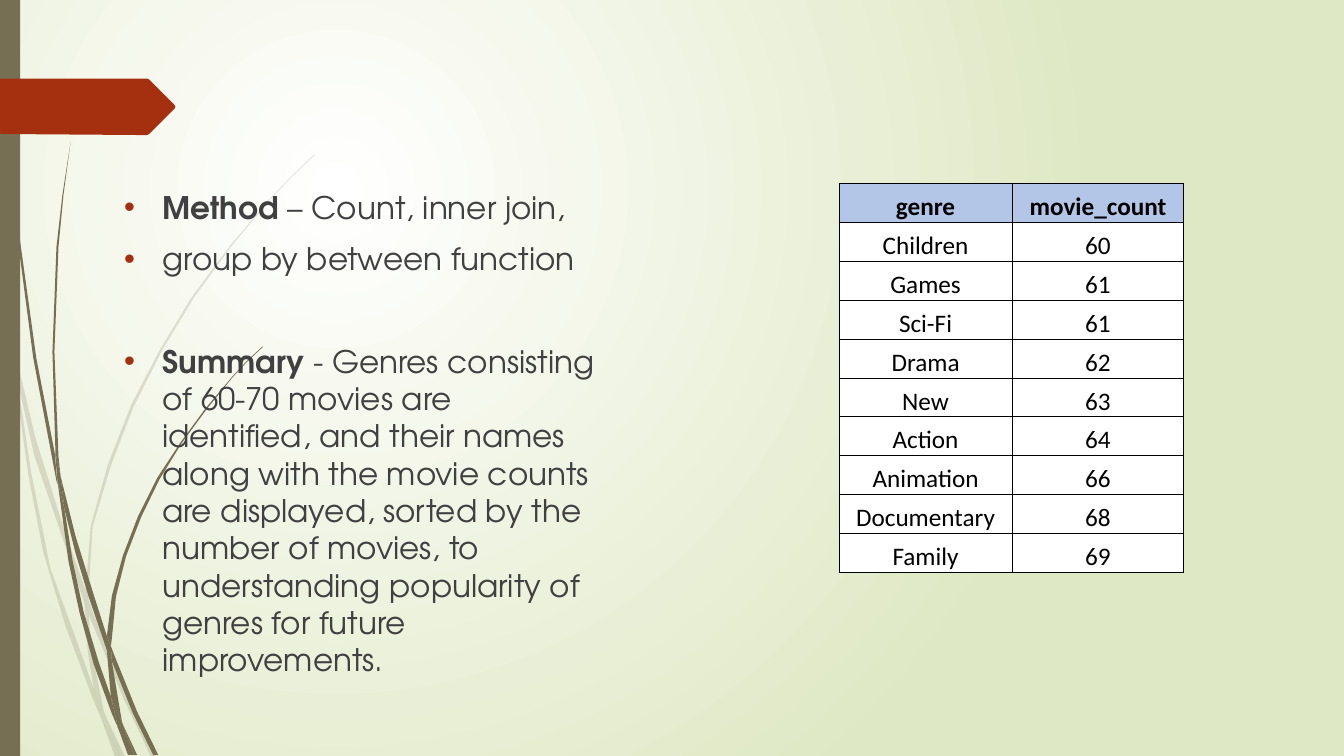
from lxml import etree
from pptx import Presentation
from pptx import util as u
from pptx.dml.color import RGBColor
from pptx.enum import shapes, text
from pptx.oxml import parse_xml
from pptx.oxml.ns import qn

NS = 'xmlns:a="http://schemas.openxmlformats.org/drawingml/2006/main"'
OLIVE, RUST, GREY, BLACK, WHITE = "766F54", "A53010", "404040", "000000", "FFFFFF"

# Outlines as x,y corners in hundredths of an inch
PALE = [
    "11,350 9,322 0,282 0,299 10,344",
    "58,522 84,599 85,586 62,520 35,434 14,345 17,376 34,452",
    "92,607 88,596 88,610 123,694 150,751 155,751 127,692",
    "119,751 124,751 105,711",
    "93,683 70,619 50,564 31,469 17,376 11,350 28,470 43,548 65,621 92,693 101,714 99,707",
    "84,599 87,646 93,683 96,692 105,711 103,706 91,646 88,610 88,608",
    "88,584 92,522 110,462 132,405 160,349 192,296 229,245 268,198 290,175 312,154 "
    "312,153 289,175 268,197 228,244 190,295 158,348 130,402 107,461 90,522 85,584 "
    "85,586 88,596",
    "101,714 114,751 119,751",
    "88,608 88,610 88,596 85,586 84,599",
    "96,692 93,683 99,707 101,714 119,751 105,711",
]
DARK = [
    "7,110 17,233 33,355 56,477 57,481 55,457 55,453 36,355 19,232 8,109 5,48 4,0 "
    "3,0 4,48",
    "88,592 106,645 106,633 106,631 93,590 75,532 60,472 64,505 75,549",
    "113,649 110,641 111,656 132,708 152,749 157,749 136,706",
    "110,691 98,657 83,607 72,556 64,505 57,477 68,557 79,608 93,659 111,708 117,722 116,717",
    "60,472 58,453 54,349 58,245 63,193 70,141 62,193 56,245 52,349 55,449",
    "133,749 136,749 122,719",
    "57,477 64,505 60,472 55,449 55,453",
    "111,633 115,592 125,552 140,513 158,476 180,440 205,406 231,374 245,359 261,344 "
    "260,344 245,358 231,373 204,405 179,439 156,474 137,512 122,551 111,591 106,631 110,641",
    "117,722 127,749 131,749",
    "106,645 110,691 116,706 122,719 121,716 111,656 109,651",
    "106,645 109,651 111,656 110,641 106,631 106,633",
    "116,706 110,691 116,717 117,722 130,749 133,749 122,719",
]
ARROW = "0,78 146,78 148,79 173,104 174,106 173,108 148,133 146,134 136,134 0,133"

POINTS = [
    (10, [("Method", True), (" – Count, inner join,", False)]),
    (10, [("group by between function", False)]),
    (46.5, [("Summary", True),
            (" - Genres consisting of 60-70 movies are identified, and their names "
             "along with the movie counts are displayed, sorted by the number of movies, "
             "to understanding popularity of genres for future improvements.", False)]),
]
ROWS = [
    ("genre", "movie_count"), ("Children", 60), ("Games", 61), ("Sci-Fi", 61),
    ("Drama", 62), ("New", 63), ("Action", 64), ("Animation", 66),
    ("Documentary", 68), ("Family", 69),
]


def assign(item, values):
    for name, value in values.items():
        setattr(item, name, value)


def paint(fill, hue):
    fill.solid()
    fill.fore_color.rgb = RGBColor.from_string(hue)


def style(run, size, face, hue, bold):
    assign(run.font, {"size": u.Pt(size), "name": face, "bold": bold})
    run.font.color.rgb = RGBColor.from_string(hue)


def flat(shape, hue):
    """Fill a shape plainly, with neither line nor shadow."""
    paint(shape.fill, hue)
    shape.line.fill.background()
    shape.shadow.inherit = False


def trace(slide, outline, hue, alpha=None):
    """Draw a closed outline; alpha is a percentage."""
    start, *rest = [tuple(map(int, p.split(","))) for p in outline.split()]
    pen = slide.shapes.build_freeform(*start, scale=u.Inches(0.01))
    pen.add_line_segments(rest, close=True)
    shape = pen.convert_to_shape()
    flat(shape, hue)
    if alpha:
        tint = shape.fill._xPr.find(".//" + qn("a:srgbClr"))
        etree.SubElement(tint, qn("a:alpha"), val=str(alpha * 1000))


def backdrop(slide):
    """Radial gradient with its centre in the upper left."""
    fill = slide.background.fill
    fill.gradient()
    for stop, hue in zip(fill.gradient_stops, (WHITE, "DFE8C4")):
        stop.color.rgb = RGBColor.from_string(hue)
    line = slide._element.find(".//" + qn("a:lin"))
    line.getparent().replace(line, parse_xml(
        f'<a:path {NS} path="circle"><a:fillToRect l="50000" t="50000" '
        'r="100000" b="100000"/></a:path>'))


def bullet(para):
    props = para._p.get_or_add_pPr()
    assign_xml = {"marL": u.Inches(0.38), "indent": -u.Inches(0.38)}
    for name, value in assign_xml.items():
        props.set(name, str(value))
    for mark in (f'<a:buClr {NS}><a:srgbClr val="{RUST}"/></a:buClr>',
                 f'<a:buFont {NS} typeface="Arial"/>',
                 f'<a:buChar {NS} char="•"/>'):
        props.append(parse_xml(mark))


def write(slide):
    """Fill the body placeholder and bring it in front of the grass."""
    body = slide.placeholders[1]
    assign(body, {"left": u.Inches(1.13), "top": u.Inches(1.82),
                  "width": u.Inches(4.91), "height": u.Inches(4.76)})
    frame = body.text_frame
    assign(frame, {"word_wrap": True, "auto_size": text.MSO_AUTO_SIZE.NONE,
                   "vertical_anchor": text.MSO_ANCHOR.TOP})
    for i, (gap, runs) in enumerate(POINTS):
        para = frame.add_paragraph() if i else frame.paragraphs[0]
        assign(para, {"space_before": u.Pt(gap), "space_after": u.Pt(0),
                      "line_spacing": 1.0, "alignment": text.PP_ALIGN.LEFT})
        bullet(para)
        for words, bold in runs:
            run = para.add_run()
            run.text = words
            style(run, 22.2, "TeX Gyre Adventor", GREY, bold)
    slide.shapes._spTree.append(body._element)


def border(cell):
    props = cell._tc.get_or_add_tcPr()
    for i, side in enumerate("LRTB"):
        props.insert(i, parse_xml(
            f'<a:ln{side} {NS} w="{u.Pt(0.5)}"><a:solidFill>'
            f'<a:srgbClr val="{BLACK}"/></a:solidFill></a:ln{side}>'))


def tabulate(slide):
    grid = slide.shapes.add_table(
        len(ROWS), 2, u.Inches(8.32), u.Inches(1.82), u.Inches(3.42), u.Inches(3.86)).table
    for col, width in zip(grid.columns, (1.72, 1.7)):
        col.width = u.Inches(width)
    edge = u.Inches(0.01)
    for r, row in enumerate(ROWS):
        for c, value in enumerate(row):
            cell = grid.cell(r, c)
            assign(cell, {"margin_left": edge, "margin_right": edge, "margin_top": edge,
                          "margin_bottom": 0, "vertical_anchor": text.MSO_ANCHOR.BOTTOM})
            paint(cell.fill, WHITE if r else "B4C6E7")
            border(cell)
            para = cell.text_frame.paragraphs[0]
            para.alignment = text.PP_ALIGN.CENTER
            run = para.add_run()
            run.text = str(value)
            style(run, 18, "Calibri", BLACK, r == 0)


def main():
    deck = Presentation()
    assign(deck, {"slide_width": u.Inches(13.33), "slide_height": u.Inches(7.5)})
    slide = deck.slides.add_slide(deck.slide_layouts[1])
    title = slide.shapes.title._element
    title.getparent().remove(title)
    backdrop(slide)
    for blade in PALE:
        trace(slide, blade, OLIVE, 20)
    for blade in DARK:
        trace(slide, blade, OLIVE)
    strip = slide.shapes.add_shape(
        shapes.MSO_SHAPE.RECTANGLE, 0, 0, u.Inches(0.2), u.Inches(7.5))
    flat(strip, OLIVE)
    trace(slide, ARROW, RUST)
    write(slide)
    tabulate(slide)
    deck.save("out.pptx")


if __name__ == "__main__":
    main()
